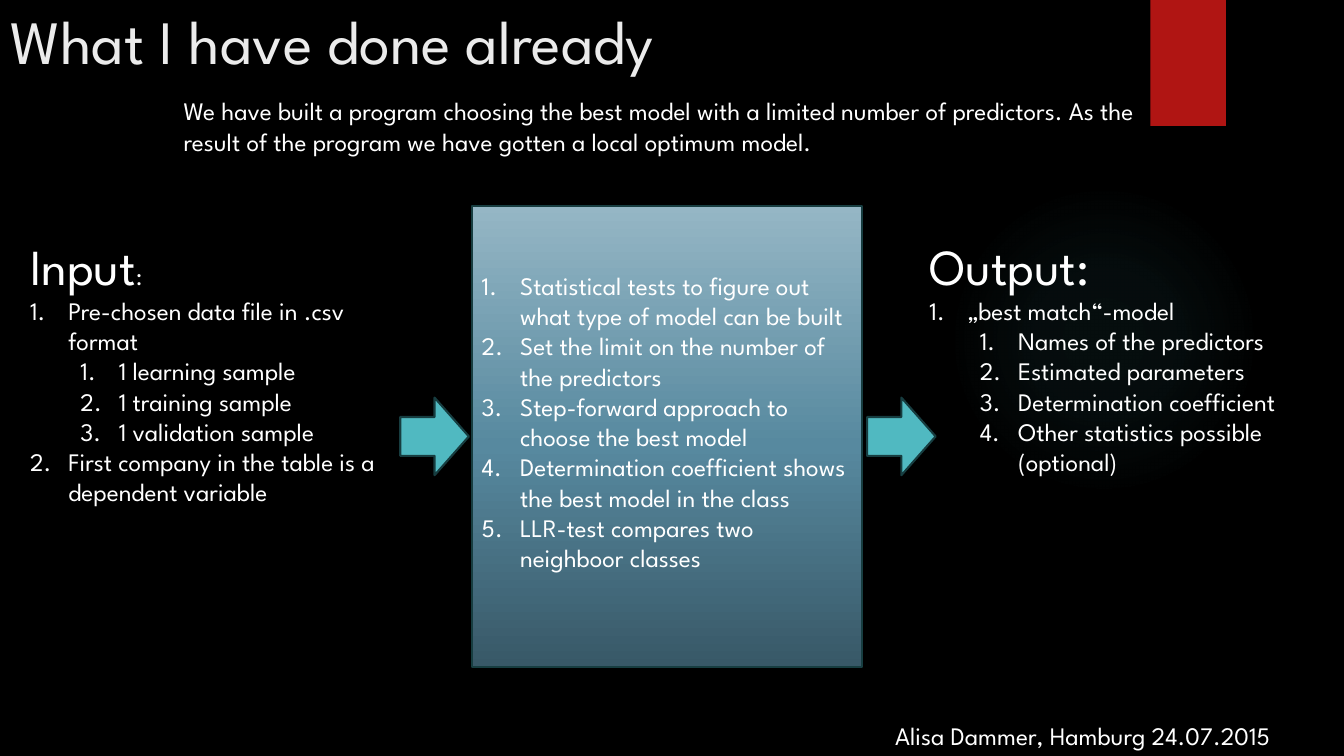
from dataclasses import dataclass

from lxml import etree
from pptx import Presentation
from pptx.dml.color import RGBColor
from pptx.enum import shapes, text
from pptx.oxml.ns import qn
from pptx.util import Inches, Pt


@dataclass(frozen=True)
class Theme:
    font: str = "League Spartan"
    background: str = "000000"
    title: str = "EBEBEB"
    body: str = "FFFFFF"
    accent: str = "50B9C1"
    tab: str = "B01513"
    outline: str = "173D40"
    title_size: int = 44
    heading_size: int = 36
    body_size: int = 18


THEME = Theme()

TITLE = "What I have done already"
INTRO = ("We have built a program choosing the best model with a limited number of "
         "predictors. As the result of the program we have gotten a local optimum model.")
FOOTER = "Alisa Dammer, Hamburg 24.07.2015"

# Lists hold (level, text) pairs.
STEPS = [
    (0, "Statistical tests to figure out what type of model can be built"),
    (0, "Set the limit on the number of the predictors"),
    (0, "Step-forward approach to choose the best model"),
    (0, "Determination coefficient shows the best model in the class"),
    (0, "LLR-test compares two neighboor classes"),
]
INPUTS = [
    (0, "Pre-chosen data file in .csv format"),
    (1, "1 learning sample"),
    (1, "1 training sample"),
    (1, "1 validation sample"),
    (0, "First company in the table is a dependent variable"),
]
OUTPUTS = [
    (0, "„best match“-model"),
    (1, "Names of the predictors"),
    (1, "Estimated parameters"),
    (1, "Determination coefficient"),
    (1, "Other statistics possible (optional)"),
]
# Heading runs as (text, size), list items, box
COLUMNS = [
    ([("Input", THEME.heading_size), (":", THEME.body_size)], INPUTS, (0.2, 2.28, 3.73, 2.83)),
    ([("Output:", THEME.heading_size)], OUTPUTS, (9.12, 2.28, 3.93, 3.13)),
]

# Gradient stops are (position %, colour, opacity %).
GLOW_STOPS = [(0, THEME.accent, 7), (36, THEME.accent, 6), (69, THEME.accent, 0)]
PANEL_STOPS = [(0, "385867", 100), (48, "57899F", 100), (100, "95B6C5", 100)]

PANEL_BOX = (4.68, 2.04, 3.87, 4.58)
ARROW_LEFTS = (3.97, 8.6)
ARROW_WIDTH, ARROW_HEIGHT = 0.68, 0.77
LIST_HANG, LEVEL_STEP = 0.38, 0.5


def inches(box):
    return [Inches(v) for v in box]


def style_run(r, size=THEME.body_size, color=THEME.body):
    r.font.name = THEME.font
    r.font.size = Pt(size)
    r.font.color.rgb = RGBColor.from_string(color)


def add_shape(s, kind, box, fill=None, line=None):
    sp = s.shapes.add_shape(kind, *inches(box))
    sp.shadow.inherit = False
    if fill:
        sp.fill.solid()
        sp.fill.fore_color.rgb = RGBColor.from_string(fill)
    if line:
        sp.line.color.rgb = RGBColor.from_string(line)
        sp.line.width = Pt(1.5)
    else:
        sp.line.fill.background()
    return sp


def set_gradient(sp, stops, radial=False):
    """Fill with the stops, from the centre outwards or from bottom to top."""
    sp.fill.gradient()
    grad = sp._element.spPr.find(qn("a:gradFill"))
    for child in list(grad):
        grad.remove(child)
    gs_list = etree.SubElement(grad, qn("a:gsLst"))
    for position, color, opacity in stops:
        gs = etree.SubElement(gs_list, qn("a:gs"), pos=str(position * 1000))
        clr = etree.SubElement(gs, qn("a:srgbClr"), val=color)
        if opacity < 100:
            etree.SubElement(clr, qn("a:alpha"), val=str(opacity * 1000))
    if radial:
        path = etree.SubElement(grad, qn("a:path"), path="circle")
        etree.SubElement(path, qn("a:fillToRect"), l="50000", t="50000", r="50000", b="50000")
    else:
        etree.SubElement(grad, qn("a:lin"), ang="16200000", scaled="0")


def add_textbox(s, box):
    tf = s.shapes.add_textbox(*inches(box)).text_frame
    tf.word_wrap = True
    return tf


def fill_placeholder(sp, box, content, size, color, anchor):
    sp.left, sp.top, sp.width, sp.height = inches(box)
    tf = sp.text_frame
    tf.text = content
    tf.word_wrap = True
    tf.auto_size = text.MSO_AUTO_SIZE.NONE
    tf.vertical_anchor = anchor
    p = tf.paragraphs[0]
    p.alignment = text.PP_ALIGN.LEFT
    style_run(p.runs[0], size, color)
    return p


def number_paragraph(p, level):
    p.level = level
    pPr = p._p.get_or_add_pPr()
    pPr.set("marL", str(Inches(LIST_HANG + level * LEVEL_STEP)))
    pPr.set("indent", str(-Inches(LIST_HANG)))
    etree.SubElement(pPr, qn("a:buFont"), typeface="+mj-lt")
    etree.SubElement(pPr, qn("a:buAutoNum"), type="arabicPeriod")


def add_list(tf, items):
    for level, content in items:
        p = tf.paragraphs[-1]
        if p.runs:
            p = tf.add_paragraph()
        p.text = content
        p.alignment = text.PP_ALIGN.LEFT
        number_paragraph(p, level)
        style_run(p.runs[0])


def main():
    prs = Presentation()
    prs.slide_width, prs.slide_height = Inches(13.33), Inches(7.5)
    s = prs.slides.add_slide(prs.slide_layouts[1])
    s.background.fill.solid()
    s.background.fill.fore_color.rgb = RGBColor.from_string(THEME.background)
    kinds = shapes.MSO_SHAPE

    glow = add_shape(s, kinds.OVAL, (9.41, 1.83, 3.08, 3.08))
    set_gradient(glow, GLOW_STOPS, radial=True)
    add_shape(s, kinds.RECTANGLE, (11.41, 0, 0.75, 1.25), THEME.tab)

    fill_placeholder(s.shapes.title, (0, 0, 8.08, 0.79), TITLE,
                     THEME.title_size, THEME.title, text.MSO_ANCHOR.MIDDLE)
    p = fill_placeholder(s.placeholders[1], (1.72, 0.9, 9.78, 1), INTRO,
                         THEME.body_size, THEME.body, text.MSO_ANCHOR.TOP)
    p.space_before = Pt(10)
    pPr = p._p.get_or_add_pPr()
    pPr.set("marL", "0")
    pPr.set("indent", "0")
    etree.SubElement(pPr, qn("a:buNone"))

    panel = add_shape(s, kinds.RECTANGLE, PANEL_BOX, line=THEME.outline)
    set_gradient(panel, PANEL_STOPS)
    tf = panel.text_frame
    tf.word_wrap = True
    tf.vertical_anchor = text.MSO_ANCHOR.MIDDLE
    tf.margin_bottom = Inches(0.35)
    add_list(tf, STEPS)

    arrow_top = PANEL_BOX[1] + (PANEL_BOX[3] - ARROW_HEIGHT) / 2
    for left in ARROW_LEFTS:
        add_shape(s, kinds.RIGHT_ARROW, (left, arrow_top, ARROW_WIDTH, ARROW_HEIGHT),
                  THEME.accent, THEME.outline)

    for heading, items, box in COLUMNS:
        tf = add_textbox(s, box)
        for content, size in heading:
            r = tf.paragraphs[0].add_run()
            r.text = content
            style_run(r, size)
        add_list(tf, items)

    tf = add_textbox(s, (8.78, 7.1, 4.55, 0.4))
    tf.text = FOOTER
    style_run(tf.paragraphs[0].runs[0])

    prs.save("out.pptx")


if __name__ == "__main__":
    main()
